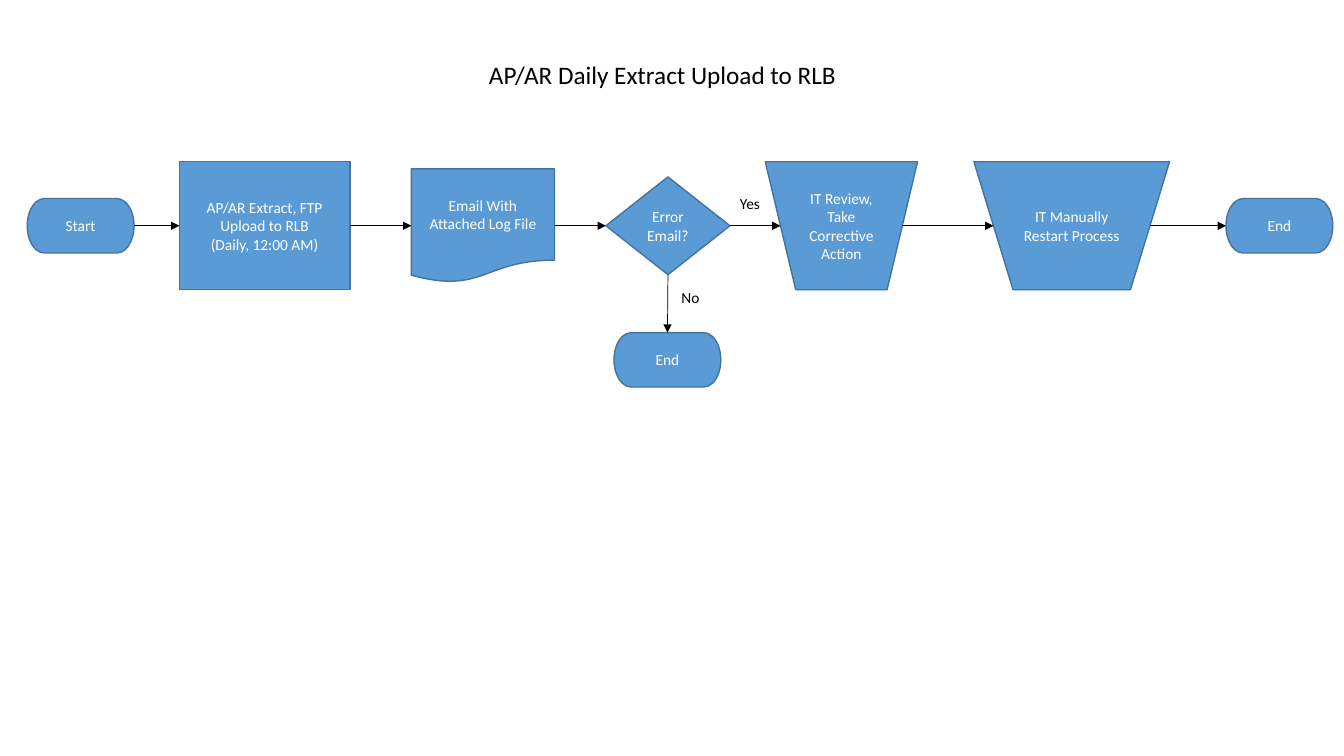
from pptx import Presentation
from pptx import util as u
from pptx.dml.color import RGBColor
from pptx.enum import shapes, text
from pptx.oxml.ns import qn
from lxml import etree

KIND = shapes.MSO_SHAPE
MID = text.MSO_ANCHOR.MIDDLE
CENTER = text.PP_ALIGN.CENTER
ROW = 2.24  # centre line of the main flow
HALF = 0.54 / 2


def rgb(code):
    return RGBColor.from_string(code)


def write(frame, lines, size, color, align=None):
    for i, line in enumerate(lines):
        par = frame.paragraphs[0] if i == 0 else frame.add_paragraph()
        par.alignment = align
        run = par.add_run()
        run.text = line
        run.font.size = u.Pt(size)
        run.font.name = "Calibri"
        run.font.color.rgb = rgb(color)


def place(shape, box):
    shape.left, shape.top, shape.width, shape.height = map(u.Inches, box)


def head(slide, box):
    title = slide.shapes.title
    place(title, box)
    title.text_frame.vertical_anchor = MID
    write(title.text_frame, ["AP/AR Daily Extract Upload to RLB"], 18, "000000", CENTER)


def step(slide, kind, box, lines, pad=0.1):
    shape = slide.shapes.add_shape(kind, *map(u.Inches, box))
    shape.shadow.inherit = False
    shape.fill.solid()
    shape.fill.fore_color.rgb = rgb("5B9BD5")
    shape.line.color.rgb = rgb("43739E")
    shape.line.width = u.Pt(1)
    frame = shape.text_frame
    frame.word_wrap = True
    frame.vertical_anchor = MID
    frame.margin_left = frame.margin_right = u.Inches(pad)
    write(frame, lines, 11, "FFFFFF", CENTER)
    return shape


def point(shape, side):
    """Middle of a side; the slanted sides of a trapezoid sit a tenth inward."""
    slant = shape.width // 10 if shape.auto_shape_type == KIND.FLOWCHART_MANUAL_OPERATION else 0
    x = {1: slant, 2: shape.width // 2, 0: shape.width // 2, 3: shape.width - slant}[side]
    y = {0: 0, 2: shape.height}.get(side, shape.height // 2)
    return shape.left + x, shape.top + y


def arrow(slide, start, end, out=3, into=1):
    link = slide.shapes.add_connector(
        shapes.MSO_CONNECTOR.STRAIGHT, *point(start, out), *point(end, into))
    slanted = KIND.FLOWCHART_MANUAL_OPERATION
    if start.auto_shape_type != slanted:
        link.begin_connect(start, out)
    if end.auto_shape_type != slanted:
        link.end_connect(end, into)
    link.line.color.rgb = rgb("000000")
    link.line.width = u.Pt(0.5)
    etree.SubElement(link.line._get_or_add_ln(), qn("a:tailEnd"), type="triangle")
    etree.SubElement(link._element.spPr, qn("a:effectLst"))


def label(slide, box, word):
    note = slide.shapes.add_textbox(*map(u.Inches, box))
    note.text_frame.word_wrap = True
    write(note.text_frame, [word], 11, "000000")


def flow(slide):
    # Main row: kind, left, width, height, lines, side padding
    row = [
        (KIND.FLOWCHART_TERMINATOR, 0.27, 1.06, 0.54, ["Start"], 0.1),
        (KIND.FLOWCHART_PROCESS, 1.78, 1.69, 1.27,
         ["AP/AR Extract, FTP Upload to RLB", "(Daily, 12:00 AM)"], 0.1),
        (KIND.FLOWCHART_DOCUMENT, 4.08, 1.42, 1.13, ["Email With Attached Log File"], 0.1),
        (KIND.FLOWCHART_DECISION, 6.01, 1.23, 0.97, ["Error Email?"], 0.05),
        (KIND.FLOWCHART_MANUAL_OPERATION, 7.59, 1.51, 1.27,
         ["IT Review, Take Corrective Action"], 0.1),
        (KIND.FLOWCHART_MANUAL_OPERATION, 9.66, 1.94, 1.27,
         ["IT Manually Restart Process"], 0.1),
        (KIND.FLOWCHART_TERMINATOR, 12.16, 1.06, 0.54, ["End"], 0.1),
    ]
    steps = [step(slide, kind, (x, ROW - h / 2, w, h), lines, pad)
             for kind, x, w, h, lines, pad in row]
    for start, end in zip(steps, steps[1:]):
        arrow(slide, start, end)

    # Branch below the decision
    stop = step(slide, KIND.FLOWCHART_TERMINATOR, (6.09, 3.3, 1.06, 0.54), ["End"])
    arrow(slide, steps[3], stop, 2, 0)

    # Branch labels
    label(slide, (7.24, 1.88, 0.45, 0.29), "Yes")
    label(slide, (6.66, 2.81, 0.42, 0.29), "No")


def main():
    deck = Presentation()
    deck.slide_width, deck.slide_height = u.Inches(13.33), u.Inches(7.5)
    slide = deck.slides.add_slide(deck.slide_layouts[5])
    head(slide, (3.7, 0.54, 5.74, 0.4))
    flow(slide)
    deck.save("out.pptx")


if __name__ == "__main__":
    main()
